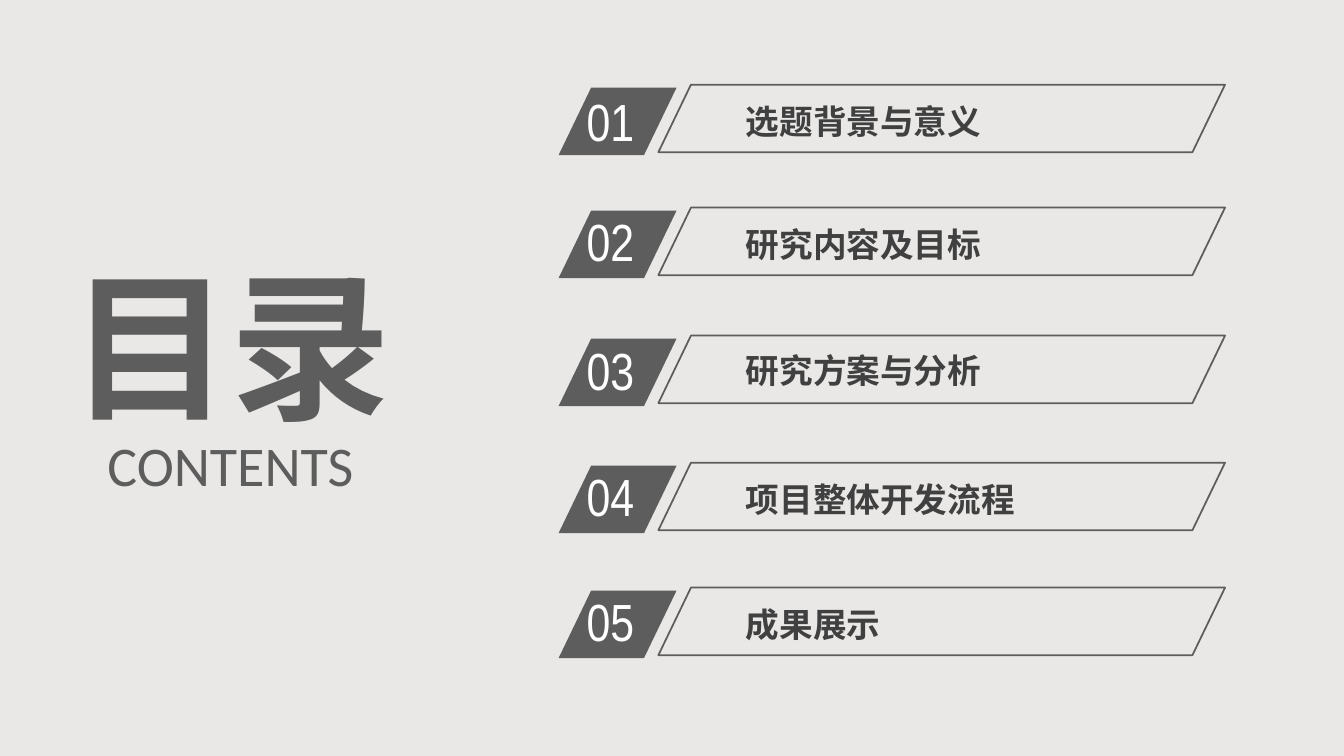
from lxml import etree
from pptx import Presentation
from pptx.dml.color import RGBColor
from pptx.enum import shapes, text
from pptx.oxml.ns import qn
from pptx.util import Inches, Pt

PAPER = RGBColor(0xE9, 0xE8, 0xE6)
GRAY = RGBColor(0x5D, 0x5D, 0x5D)
INK = RGBColor(0x40, 0x40, 0x40)
WHITE = RGBColor(0xFF, 0xFF, 0xFF)
CHINESE_FONT = "Noto Sans CJK SC"

# label, then the tops of badge, number and label
CHAPTERS = [
    ("选题背景与意义", 0.87, 0.83, 0.95),
    ("研究内容及目标", 2.09, 2.02, 2.17),
    ("研究方案与分析", 3.36, 3.30, 3.42),
    ("项目整体开发流程", 4.62, 4.55, 4.70),
    ("成果展示", 5.86, 5.79, 5.94),
]


def write(box, words, size, font, color, bold=False, wrap=True, align=text.PP_ALIGN.LEFT):
    """Fill a box with one vertically centred line, in Latin and East Asian type."""
    frame = box.text_frame
    frame.auto_size = text.MSO_AUTO_SIZE.NONE
    frame.word_wrap = wrap
    frame.vertical_anchor = text.MSO_ANCHOR.MIDDLE
    para = frame.paragraphs[0]
    para.alignment = align
    span = para.add_run()
    span.text = words
    span.font.size = Pt(size)
    span.font.bold = bold
    span.font.color.rgb = color
    span.font.name = font
    etree.SubElement(span.font._element, qn("a:ea"), typeface=font)


def add_slanted(page, left, top, width):
    shape = page.shapes.add_shape(
        shapes.MSO_SHAPE.PARALLELOGRAM,
        Inches(left), Inches(top), Inches(width), Inches(0.67))
    shape.adjustments[0] = 0.482
    shape.shadow.inherit = False
    return shape


deck = Presentation()
deck.slide_width = Inches(13.33)
deck.slide_height = Inches(7.5)
page = deck.slides.add_slide(deck.slide_layouts[5])
page.background.fill.solid()
page.background.fill.fore_color.rgb = PAPER

title = page.shapes.title
title.left, title.top = Inches(0.58), Inches(2.39)
title.width, title.height = Inches(3.42), Inches(2.03)
write(title, "目录", 114.7, CHINESE_FONT, GRAY, bold=True, wrap=False,
      align=text.PP_ALIGN.CENTER)

subtitle = page.shapes.add_textbox(Inches(0.96), Inches(4.22), Inches(2.65), Inches(0.77))
write(subtitle, "CONTENTS", 40, "Calibri", GRAY, wrap=False, align=text.PP_ALIGN.CENTER)

for index, (name, badge_top, number_top, label_top) in enumerate(CHAPTERS, 1):
    badge = add_slanted(page, 5.54, badge_top, 1.17)
    badge.fill.solid()
    badge.fill.fore_color.rgb = GRAY
    badge.line.fill.background()

    number = page.shapes.add_textbox(
        Inches(5.72), Inches(number_top), Inches(1.12), Inches(0.73))
    write(number, f"{index:02}", 37.3, "Arial Narrow", WHITE)

    outline = add_slanted(page, 6.53, badge_top - 0.03, 5.62)
    outline.fill.background()
    outline.line.color.rgb = GRAY
    outline.line.width = Pt(1.25)

    label = page.shapes.add_textbox(
        Inches(7.3), Inches(label_top), Inches(4.12), Inches(0.5))
    write(label, name, 24, CHINESE_FONT, INK, bold=True)

deck.save("out.pptx")
